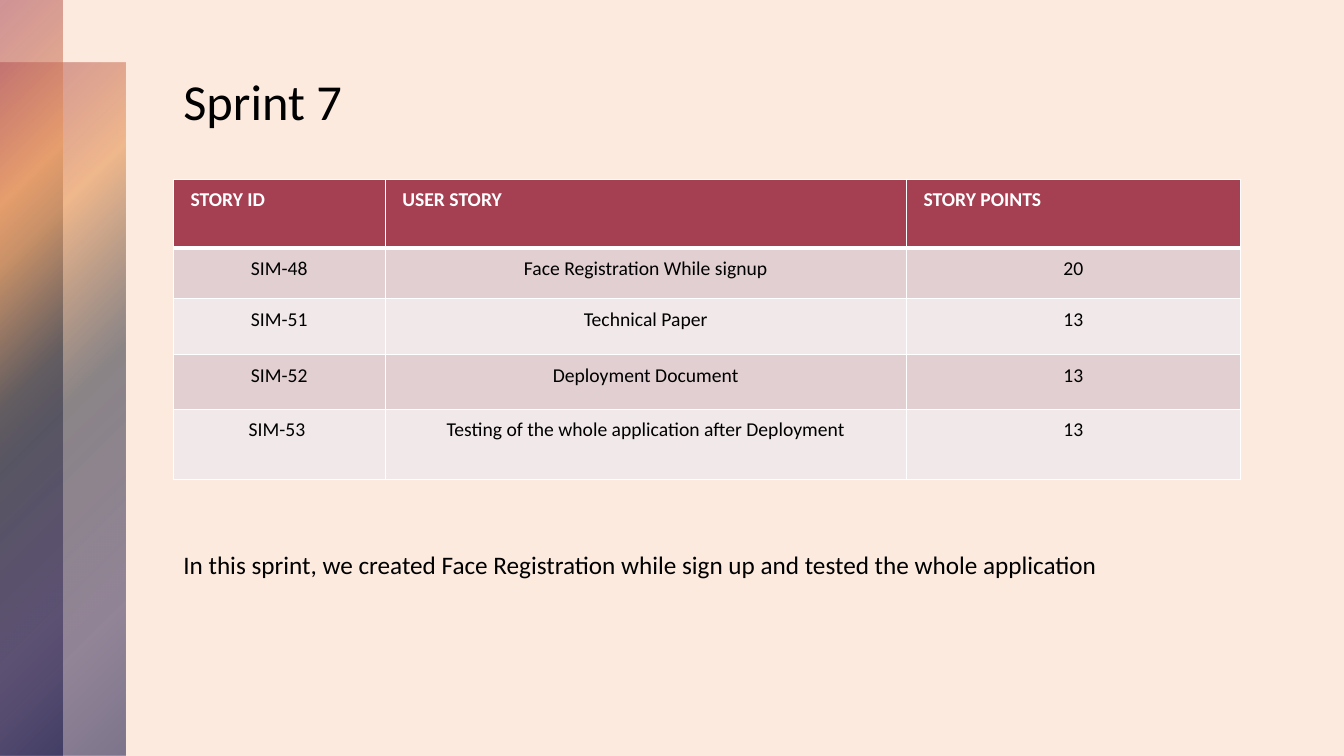
from lxml import etree
from pptx import Presentation, util as u
from pptx.dml.color import RGBColor
from pptx.enum import shapes, text
from pptx.oxml import parse_xml
from pptx.oxml.ns import nsdecls, qn

C = {"bg": "FBEADD", "header": "A53F52", "band": "E1CFD1", "light": "F0E8E9",
     "white": "FFFFFF", "black": "000000"}
SUNSET = [(0, "A53F52", 50), (25, "E99757", 60), (50, "2F3342", 55),
          (81, "2C2153", 50), (99, "01023B", 50)]
W, H = 13.33, 7.5
BAR = 0.62
LEFT = 1.72
COLS = [2.1, 5.17, 3.31]
ROWS = [0.68, 0.5, 0.56, 0.54, 0.7]
STORIES = [
    ("STORY ID", "USER STORY", "STORY POINTS"),
    ("SIM-48", "Face Registration While signup", "20"),
    ("SIM-51", "Technical Paper", "13"),
    ("SIM-52", "Deployment Document", "13"),
    ("SIM-53 ", "Testing of the whole application after Deployment", "13"),
]


def rgb(name):
    return RGBColor.from_string(C[name])


def write(tf, words, size=14, color="black", bold=False, align=text.PP_ALIGN.LEFT):
    p = tf.paragraphs[0]
    p.alignment = align
    r = p.add_run()
    r.text = words
    r.font.name = "Calibri"
    r.font.size = u.Pt(size)
    r.font.bold = bold
    r.font.color.rgb = rgb(color)


def add_text(s, words, x, y, w, h, **fmt):
    tf = s.shapes.add_textbox(*map(u.Inches, (x, y, w, h))).text_frame
    tf.word_wrap = True
    write(tf, words, **fmt)


def add_bar(s, x, y, w, h):
    sp = s.shapes.add_shape(shapes.MSO_SHAPE.RECTANGLE, *map(u.Inches, (x, y, w, h)))
    sp.shadow.inherit = False
    sp.line.fill.background()
    stops = "".join(
        f'<a:gs pos="{pos * 1000}"><a:srgbClr val="{color}">'
        f'<a:alpha val="{alpha * 1000}"/></a:srgbClr></a:gs>'
        for pos, color, alpha in SUNSET)
    grad = parse_xml(
        f'<a:gradFill {nsdecls("a")} rotWithShape="1"><a:gsLst>{stops}</a:gsLst>'
        '<a:path path="circle"><a:fillToRect r="100000" b="100000"/></a:path></a:gradFill>')
    sp._element.spPr.find(qn("a:prstGeom")).addnext(grad)


def add_borders(cell, top=1, bottom=1):
    tcPr = cell._tc.get_or_add_tcPr()
    for side, width in zip("LRTB", (1, 1, top, bottom)):
        ln = etree.SubElement(tcPr, qn(f"a:ln{side}"), w=str(u.Pt(width)))
        fill = etree.SubElement(ln, qn("a:solidFill"))
        etree.SubElement(fill, qn("a:srgbClr"), val=C["white"])


def add_cell(cell, words, row):
    header = row == 0
    add_borders(cell, top=3 if row == 1 else 1, bottom=3 if header else 1)
    cell.fill.solid()
    cell.fill.fore_color.rgb = rgb("header" if header else "band" if row % 2 else "light")
    cell.margin_left = cell.margin_right = u.Inches(0.17)
    cell.margin_top = cell.margin_bottom = u.Inches(0.08 if header else 0.09)
    write(cell.text_frame, words, color="white" if header else "black", bold=header,
          align=text.PP_ALIGN.LEFT if header else text.PP_ALIGN.CENTER)


def add_stories(s, x, y):
    tbl = s.shapes.add_table(len(ROWS), len(COLS), *map(
        u.Inches, (x, y, sum(COLS), sum(ROWS)))).table
    for col, width in zip(tbl.columns, COLS):
        col.width = u.Inches(width)
    for i, (height, story) in enumerate(zip(ROWS, STORIES)):
        tbl.rows[i].height = u.Inches(height)
        for j, words in enumerate(story):
            add_cell(tbl.cell(i, j), words, i)


def main():
    prs = Presentation()
    prs.slide_width, prs.slide_height = u.Inches(W), u.Inches(H)
    s = prs.slides.add_slide(prs.slide_layouts[6])
    s.background.fill.solid()
    s.background.fill.fore_color.rgb = rgb("bg")
    add_bar(s, 0, BAR, 2 * BAR, H - BAR)
    add_bar(s, 0, 0, BAR, H)
    add_stories(s, LEFT, 1.78)
    add_text(s, "Sprint 7", LEFT, 0.65, 1.79, 0.71, size=36)
    add_text(s, "In this sprint, we created Face Registration while sign up and tested "
             "the whole application", LEFT, 5.4, 9.31, 0.4, size=18)
    prs.save("out.pptx")


if __name__ == "__main__":
    main()
